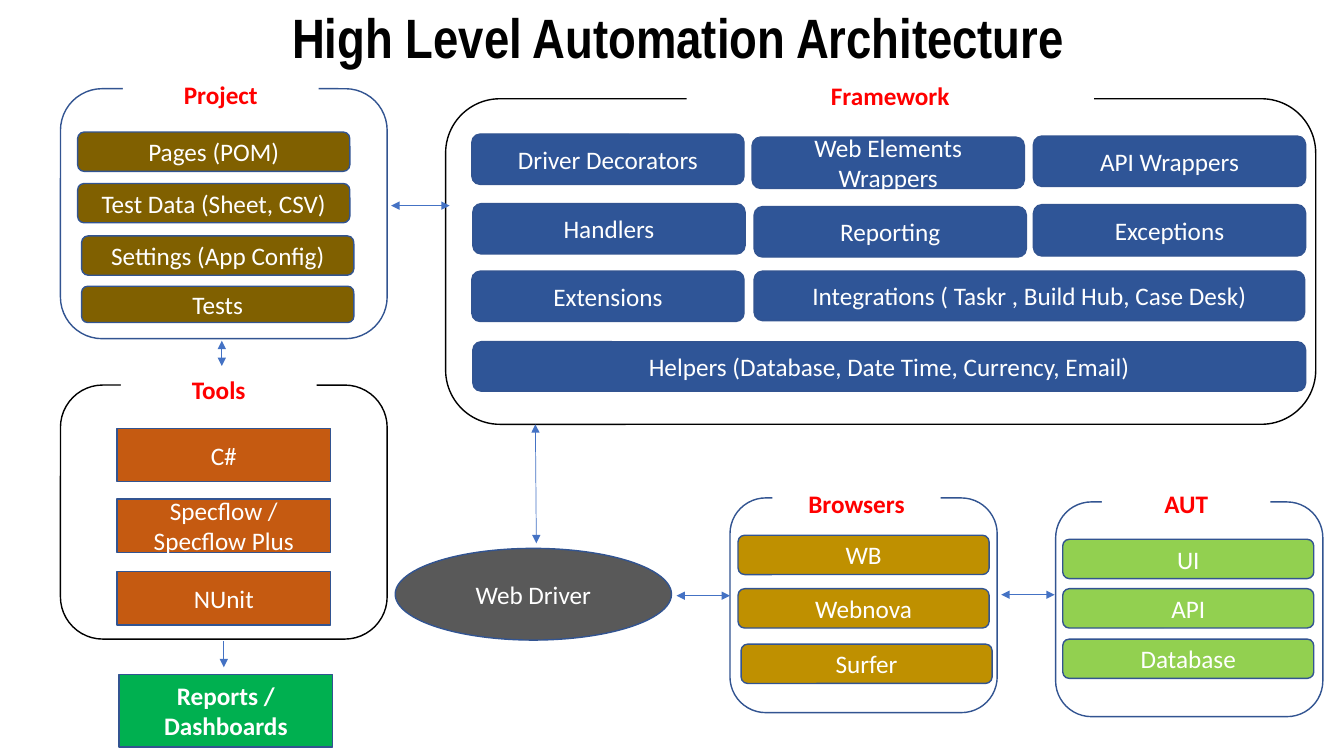
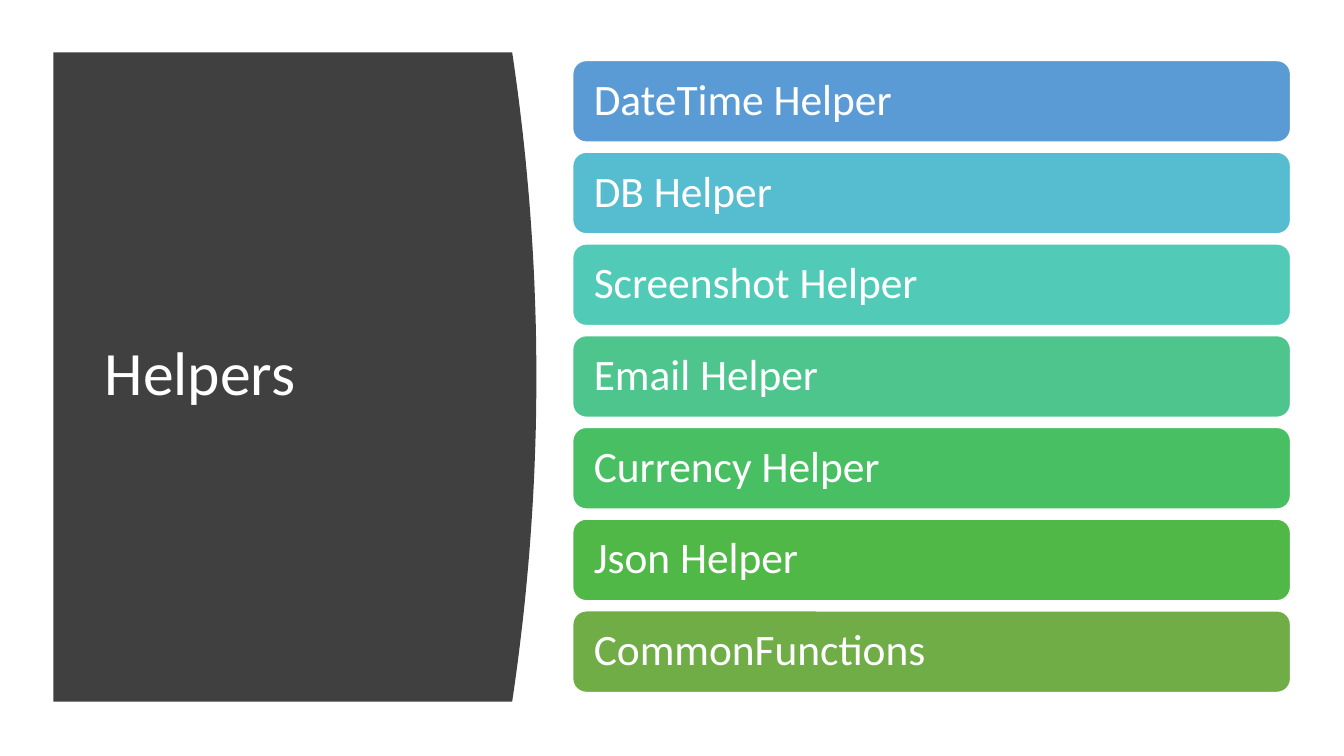
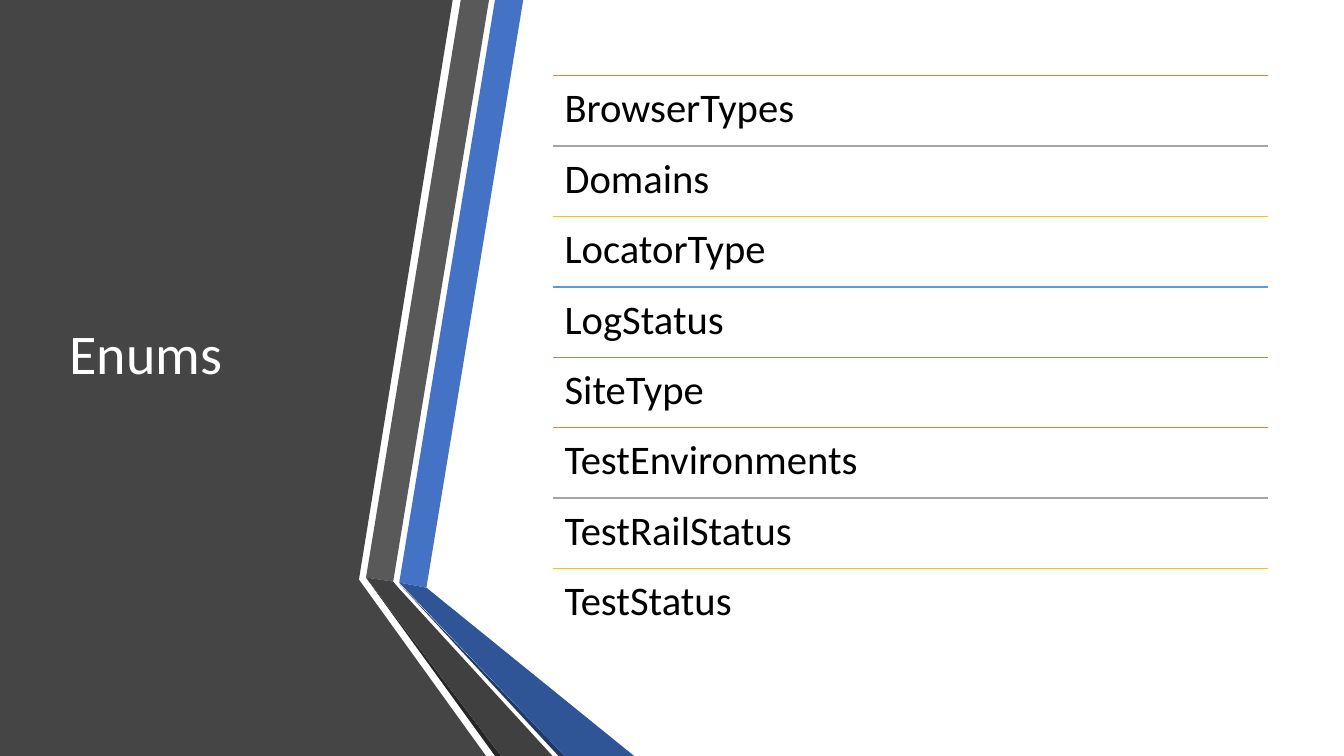
from itertools import cycle

from lxml import etree
from pptx import Presentation
from pptx import util as u
from pptx.dml.color import RGBColor
from pptx.enum import shapes, text
from pptx.oxml import ns

COLORS = {
    "white": "FFFFFF",
    "black": "000000",
    "red": "FF0000",
    "outline": "325491",
    "blue": "4472C4",
    "navy": "2F5597",
    "midnight": "203864",
    "olive": "806000",
    "rust": "C55A11",
    "gold": "BF9000",
    "lime": "92D050",
    "green": "00B050",
    "coal": "262626",
    "charcoal": "404040",
    "slate": "454545",
    "gray": "595959",
}
HELPER_COLORS = ["5B9BD5", "56BCD0", "52CAB8", "4DC58D", "49BF64", "50B846", "70AD47"]
RULE_COLORS = ["ED7D31", "A5A5A5", "FFC000", "5B9BD5", "70AD47"]
FONT = "Calibri"
TITLE_FONT = "Arial Narrow"
ROUND = shapes.MSO_SHAPE.ROUNDED_RECTANGLE
RECTANGLE = shapes.MSO_SHAPE.RECTANGLE
OVAL = shapes.MSO_SHAPE.OVAL
LEFT = text.PP_ALIGN.LEFT
CENTER = text.PP_ALIGN.CENTER
MIDDLE = text.MSO_ANCHOR.MIDDLE
TOP = text.MSO_ANCHOR.TOP


def rgb(color):
    return RGBColor.from_string(COLORS.get(color, color))


def inches(values):
    return [u.Inches(value) for value in values]


def write(shape, words, size=18, color="white", bold=False, font=FONT,
          align=CENTER, anchor=MIDDLE, spacing=None, insets=None):
    frame = shape.text_frame
    frame.text = words
    frame.word_wrap = True
    frame.vertical_anchor = anchor
    if insets:
        frame.margin_left, frame.margin_top, frame.margin_right, frame.margin_bottom = inches(insets)
    paragraph = frame.paragraphs[0]
    paragraph.alignment = align
    if spacing:
        paragraph.line_spacing = spacing
    run = paragraph.runs[0]
    run.font.name = font
    run.font.size = u.Pt(size)
    run.font.bold = bold
    run.font.color.rgb = rgb(color)


def paint(shape, fill, line=None):
    shape.shadow.inherit = False
    shape.fill.solid()
    shape.fill.fore_color.rgb = rgb(fill)
    if line:
        shape.line.color.rgb = rgb(line)
        shape.line.width = u.Pt(1)
    else:
        shape.line.fill.background()


def add_box(slide, kind, place, fill, line="outline", words=None, **style):
    shape = slide.shapes.add_shape(kind, *inches(place))
    paint(shape, fill, line)
    if words:
        write(shape, words, **style)


def add_text(slide, place, words, **style):
    write(slide.shapes.add_textbox(*inches(place)), words, align=LEFT, spacing=0.9, **style)


def add_outline(slide, points, fill):
    corners = [inches(point) for point in points]
    builder = slide.shapes.build_freeform(*corners[0], scale=1.0)
    builder.add_line_segments(corners[1:], close=True)
    paint(builder.convert_to_shape(), fill)


def add_line(slide, start, end, color, width, ends=()):
    connector = slide.shapes.add_connector(
        shapes.MSO_CONNECTOR.STRAIGHT, *inches(start), *inches(end))
    connector.line.color.rgb = rgb(color)
    connector.line.width = u.Pt(width)
    properties = connector.element.spPr
    for end_name in ends:
        arrowhead = etree.SubElement(properties.find(ns.qn("a:ln")), ns.qn(f"a:{end_name}"))
        arrowhead.set("type", "triangle")
    etree.SubElement(properties, ns.qn("a:effectLst"))


def add_panel(slide, place, line, label, label_place, kind, fill, boxes):
    add_box(slide, ROUND, place, "white", line)
    add_box(slide, RECTANGLE, label_place, "white", None, label, color="red", bold=True)
    for words, *box_place in boxes:
        add_box(slide, kind, box_place, fill, words=words)


def build_architecture(slide):
    add_text(slide, (2.8, 0.03, 10.54, 0.74), "High Level Automation Architecture",
             size=39.6, color="black", bold=True, font=TITLE_FONT)
    add_panel(slide, (0.6, 0.88, 3.24, 2.48), "outline",
              "Project", (1.22, 0.74, 1.94, 0.39), ROUND, "olive", [
                  ("Pages (POM)", 0.77, 1.31, 2.7, 0.39),
                  ("Test Data (Sheet, CSV)", 0.77, 1.82, 2.7, 0.39),
                  ("Settings (App Config)", 0.81, 2.34, 2.7, 0.39),
                  ("Tests", 0.81, 2.84, 2.7, 0.36),
              ])
    add_panel(slide, (4.42, 0.98, 8.63, 3.23), "black",
              "Framework", (6.81, 0.75, 4.04, 0.39), ROUND, "navy", [
                  ("Driver Decorators", 4.68, 1.33, 2.7, 0.5),
                  ("Web Elements Wrappers", 7.46, 1.36, 2.7, 0.51),
                  ("API Wrappers", 10.25, 1.35, 2.7, 0.5),
                  ("Handlers", 4.69, 2.02, 2.7, 0.5),
                  ("Reporting", 7.48, 2.05, 2.7, 0.5),
                  ("Exceptions", 10.25, 2.03, 2.7, 0.51),
                  ("Extensions", 4.68, 2.69, 2.7, 0.5),
                  ("Integrations ( Taskr , Build Hub, Case Desk)", 7.48, 2.69, 5.46, 0.49),
                  ("Helpers (Database, Date Time, Currency, Email)", 4.69, 3.39, 8.26, 0.49),
              ])
    add_panel(slide, (0.6, 3.82, 3.24, 2.52), "black",
              "Tools", (1.2, 3.67, 1.94, 0.39), RECTANGLE, "rust", [
                  ("C#", 1.16, 4.25, 2.12, 0.53),
                  ("Specflow / Specflow Plus", 1.16, 4.95, 2.12, 0.53),
                  ("NUnit", 1.16, 5.67, 2.12, 0.53),
              ])
    add_panel(slide, (7.24, 4.94, 2.65, 2.13), "outline",
              "Browsers", (7.66, 4.8, 1.67, 0.39), ROUND, "gold", [
                  ("WB", 7.32, 5.31, 2.49, 0.39),
                  ("Webnova", 7.32, 5.84, 2.49, 0.39),
                  ("Surfer", 7.35, 6.39, 2.49, 0.39),
              ])
    add_panel(slide, (10.47, 4.98, 2.65, 2.13), "outline",
              "AUT", (10.93, 4.8, 1.67, 0.39), ROUND, "lime", [
                  ("UI", 10.54, 5.35, 2.49, 0.39),
                  ("API", 10.54, 5.84, 2.49, 0.39),
                  ("Database", 10.54, 6.34, 2.49, 0.39),
              ])
    add_box(slide, OVAL, (3.92, 5.44, 2.74, 0.91), "gray", words="Web Driver")
    add_box(slide, RECTANGLE, (1.18, 6.69, 2.12, 0.72), "green",
            words="Reports / Dashboards", bold=True)
    for start, end in [
        ((3.88, 2.04), (4.46, 2.04)),
        ((2.2, 3.38), (2.2, 3.63)),
        ((5.31, 4.21), (5.32, 5.39)),
        ((6.71, 5.91), (7.24, 5.91)),
        ((9.93, 5.9), (10.46, 5.9)),
    ]:
        add_line(slide, start, end, "blue", 0.5, ("headEnd", "tailEnd"))
    add_line(slide, (2.22, 6.36), (2.22, 6.62), "blue", 0.5, ("tailEnd",))


def build_helpers(slide):
    left, top, edge, bulge, half, steps = 0.53, 0.52, 5.08, 0.24, 3.22, 48
    offsets = [2 * step / steps - 1 for step in range(steps + 1)]
    curve = [(edge + bulge * (1 - offset ** 2), top + half * (1 + offset)) for offset in offsets]
    add_outline(slide, [(left, top), *curve, (left, top + 2 * half)], "charcoal")
    add_text(slide, (0.94, 1.11, 3.74, 5.24), "Helpers", size=44)
    names = ["DateTime Helper", "DB Helper", "Screenshot Helper", "Email Helper",
             "Currency Helper", "Json Helper", "CommonFunctions"]
    pitch = 0.91
    for row, (name, color) in enumerate(zip(names, HELPER_COLORS)):
        add_box(slide, ROUND, (5.68, 0.6 + row * pitch, 7.12, 0.81), color, "white", name,
                size=31, align=LEFT, spacing=0.9, insets=(0.17, 0.13, 0.17, 0.13))


def build_enums(slide):
    for fill, points in [
        ("slate", [(0, 0), (4.49, 0), (3.56, 5.75), (4.82, 7.5), (0, 7.5)]),
        ("blue", [(3.96, 5.78), (4.23, 5.83), (5.19, 0), (4.91, 0)]),
        ("gray", [(4.85, 0), (4.57, 0), (3.63, 5.73), (3.9, 5.77)]),
        ("coal", [(3.63, 5.73), (4.91, 7.5), (4.97, 7.5)]),
        ("midnight", [(3.96, 5.79), (5.54, 7.5), (5.6, 7.5)]),
        ("navy", [(3.96, 5.78), (5.6, 7.5), (6.29, 7.5), (4.23, 5.83)]),
        ("charcoal", [(3.63, 5.73), (4.97, 7.5), (5.48, 7.5), (3.95, 5.83), (3.9, 5.77)]),
    ]:
        add_outline(slide, points, fill)
    add_text(slide, (0.59, 0.75, 3.04, 5.58), "Enums", size=40)
    names = ["BrowserTypes", "Domains", "LocatorType", "LogStatus", "SiteType",
             "TestEnvironments", "TestRailStatus", "TestStatus"]
    left, top, width = 5.48, 0.75, 7.1
    row_height = 5.59 / len(names)
    for row, (name, color) in enumerate(zip(names, cycle(RULE_COLORS))):
        y = top + row * row_height
        add_line(slide, (left, y), (left + width, y), color, 1)
        add_text(slide, (left, y, width, row_height), name, size=29, color="black",
                 anchor=TOP, insets=(0.12,) * 4)


def main():
    presentation = Presentation()
    presentation.slide_width = u.Inches(13.33)
    presentation.slide_height = u.Inches(7.5)
    blank = presentation.slide_layouts[6]
    for build in (build_architecture, build_helpers, build_enums):
        build(presentation.slides.add_slide(blank))
    presentation.save("out.pptx")


if __name__ == "__main__":
    main()
